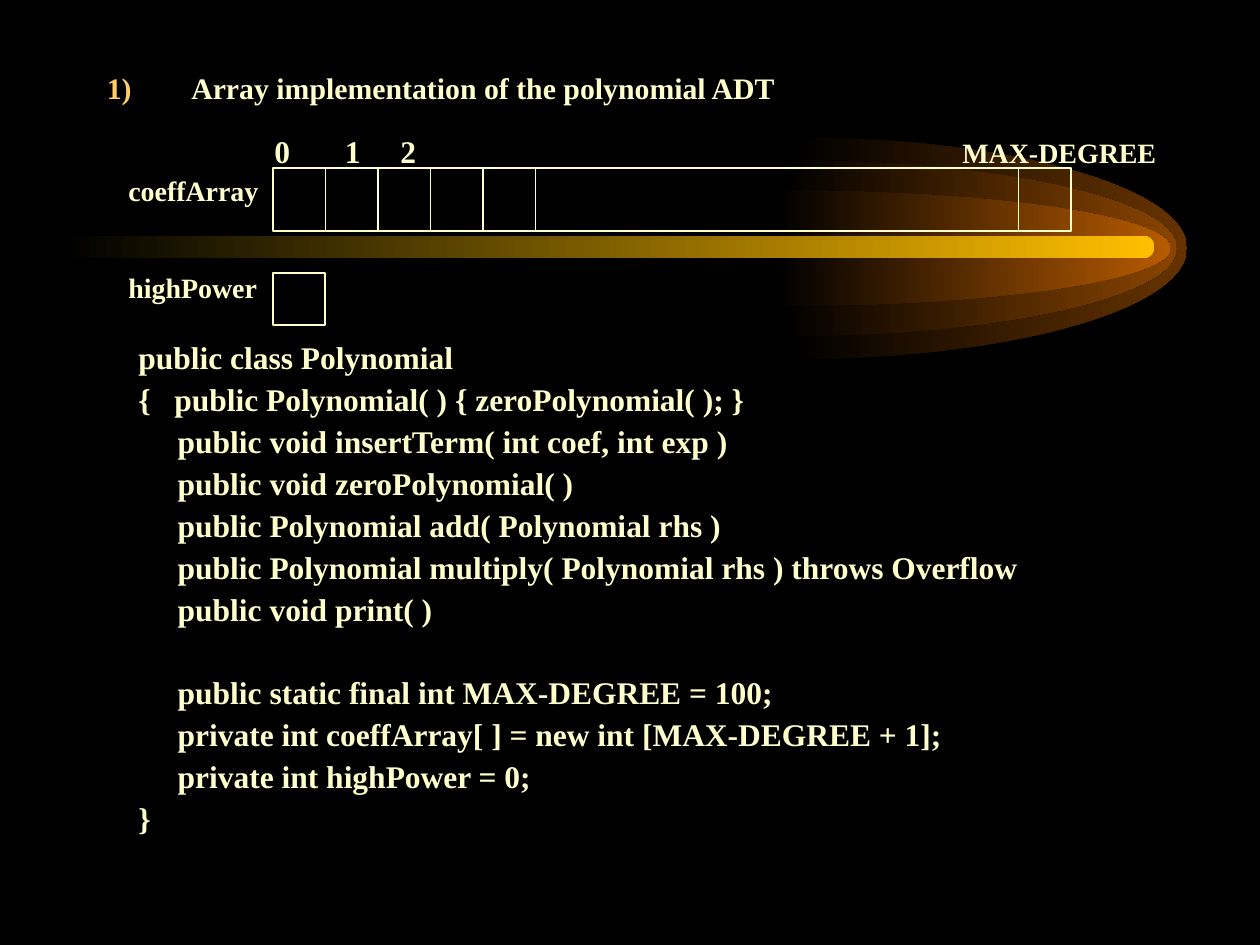
from lxml.etree import SubElement
from pptx import Presentation
from pptx.dml.color import RGBColor as RGB
from pptx.enum.shapes import MSO_CONNECTOR as CONN, MSO_SHAPE as SHAPE
from pptx.oxml.ns import qn
from pptx.util import Inches, Pt

COLORS = {
    "black": "000000",
    "cream": "FFFFCC",
    "number": "FFCC66",
    "outer": "663300",
    "middle": "894400",
    "inner": "B75B00",
    "bar": "FFBF00",
}

CODE = [
    "public class Polynomial",
    "{   public Polynomial( ) { zeroPolynomial( ); }",
    "     public void insertTerm( int coef, int exp )",
    "     public void zeroPolynomial( )",
    "     public Polynomial add( Polynomial rhs )",
    "     public Polynomial multiply( Polynomial rhs ) throws Overflow",
    "     public void print( )",
    "     public static final int MAX-DEGREE = 100;",
    "     private int coeffArray[ ] = new int [MAX-DEGREE + 1];",
    "     private int highPower = 0;",
    "}",
]


class Painter:
    font = "Times New Roman"
    line_width = Pt(1)
    roundness = 0.55

    def __init__(self, slide):
        self.s = slide

    def color(self, name):
        return RGB.from_string(COLORS[name])

    def background(self, name):
        fill = self.s.background.fill
        fill.solid()
        fill.fore_color.rgb = self.color(name)

    def glow(self, sp, name):
        sp.shadow.inherit = False
        sp.line.fill.background()
        sp.fill.gradient()
        sp.fill.gradient_angle = 0
        for stop, position, key in zip(sp.fill.gradient_stops, (0, 1), ("black", name)):
            stop.position = position
            stop.color.rgb = self.color(key)

    def half_ellipse(self, x, cy, rx, ry, name):
        corners = [(x, cy - ry), (x + rx, cy), (x, cy + ry), (x, cy)]
        points = [(Inches(px), Inches(py)) for px, py in corners]
        builder = self.s.shapes.build_freeform(*points[0])
        builder.add_line_segments(points[1:], close=True)
        sp = builder.convert_to_shape()
        k = self.roundness
        handles = [[(k, -1), (1, -k)], [(1, k), (k, 1)]]
        segments = list(sp._element.iter(qn("a:lnTo")))
        for segment, pair in zip(segments, handles):
            segment.tag = qn("a:cubicBezTo")
            for i, (dx, dy) in enumerate(pair):
                pt = SubElement(segment, qn("a:pt"), x=str(Inches(dx * rx)), y=str(Inches((1 + dy) * ry)))
                segment.insert(i, pt)
        self.glow(sp, name)

    def bar(self, x, y, w, h, name):
        sp = self.s.shapes.add_shape(
            SHAPE.ROUNDED_RECTANGLE, Inches(x), Inches(y), Inches(w), Inches(h))
        sp.adjustments[0] = 0.5
        self.glow(sp, name)

    def box(self, x, y, w, h):
        sp = self.s.shapes.add_shape(
            SHAPE.RECTANGLE, Inches(x), Inches(y), Inches(w), Inches(h))
        sp.shadow.inherit = False
        sp.fill.background()
        sp.line.color.rgb = self.color("cream")
        sp.line.width = self.line_width

    def divider(self, x, y, h):
        c = self.s.shapes.add_connector(
            CONN.STRAIGHT, Inches(x), Inches(y), Inches(x), Inches(y + h))
        c.line.color.rgb = self.color("cream")
        c.line.width = self.line_width
        SubElement(c._element.spPr, qn("a:effectLst"))

    def run(self, p, text, size):
        r = p.add_run()
        r.text = text
        r.font.name = self.font
        r.font.size = Pt(size)
        r.font.bold = True
        r.font.color.rgb = self.color("cream")

    def text(self, x, y, w, h, lines, size, spacing=1.0, before=0):
        sp = self.s.shapes.add_textbox(Inches(x), Inches(y), Inches(w), Inches(h))
        tf = sp.text_frame
        tf.word_wrap = True
        for i, line in enumerate(lines):
            p = tf.add_paragraph() if i else tf.paragraphs[0]
            p.line_spacing = spacing
            if i:
                p.space_before = Pt(before)
            self.run(p, line, size)
        return tf

    def number(self, p, indent):
        pPr = p._p.get_or_add_pPr()
        pPr.set("marL", str(Inches(indent)))
        pPr.set("indent", str(-Inches(indent)))
        color = SubElement(pPr, qn("a:buClr"))
        SubElement(color, qn("a:srgbClr"), val=COLORS["number"])
        SubElement(pPr, qn("a:buFont"), typeface=self.font)
        SubElement(pPr, qn("a:buAutoNum"), type="arabicParenR")

    def tabs(self, p, stops):
        tab_list = SubElement(p._p.get_or_add_pPr(), qn("a:tabLst"))
        for stop in stops:
            SubElement(tab_list, qn("a:tab"), pos=str(Inches(stop)), algn="l")


def main():
    prs = Presentation()
    prs.slide_width, prs.slide_height = Inches(10), Inches(7.5)
    s = Painter(prs.slides.add_slide(prs.slide_layouts[6]))
    s.background("black")

    for x, ry, name in [(6.29, 0.88, "outer"), (6.21, 0.7, "middle"), (6.16, 0.46, "inner")]:
        s.half_ellipse(x, 1.97, 3.13, ry, name)
    s.bar(0.5, 1.87, 8.66, 0.18, "bar")

    title = s.text(0.75, 0.58, 8.5, 2.5, ["Array implementation of the polynomial ADT"], 17, 0.7)
    s.number(title.paragraphs[0], 0.67)

    cell = 5 / 12
    left, top, width, height = 13 / 6, 4 / 3, 19 / 3, 0.5
    s.box(left, top, width, height)
    for i in range(1, 6):
        s.divider(left + i * cell, top, height)

    indexes = s.text(2.08, 1, 7.33, 0.38, ["0\t1\t2\t"], 18).paragraphs[0]
    s.tabs(indexes, [0.56, 1, 5.46])
    s.run(indexes, "MAX-DEGREE", 16)

    s.divider(left + width - cell, top, height)
    s.box(left, left, cell, cell)
    for y, label in [(1.33, "coeffArray"), (2.1, "highPower")]:
        s.text(0.92, y, 1.33, 0.37, [label], 16)

    code = s.text(1, 2.67, 8.67, 4.49, CODE, 18, 0.9, 4.5)
    code.paragraphs[7].space_before = Pt(28)

    prs.save("out.pptx")


if __name__ == "__main__":
    main()
